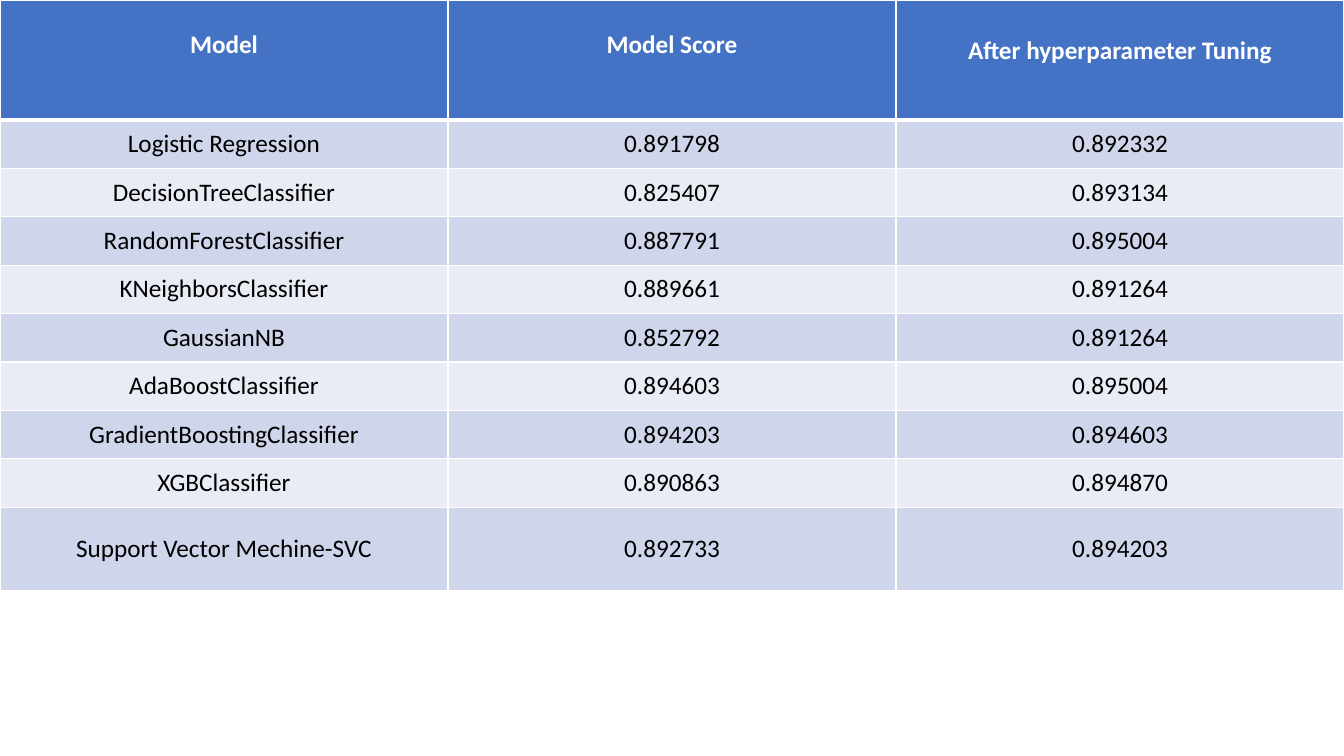
from lxml import etree
from pptx import Presentation
from pptx.dml.color import RGBColor
from pptx.enum.text import MSO_ANCHOR, PP_ALIGN
from pptx.oxml.ns import qn
from pptx.util import Cm, Pt

CENTER = PP_ALIGN.CENTER
TOP, MIDDLE = MSO_ANCHOR.TOP, MSO_ANCHOR.MIDDLE

COLORS = {
    "header": "4472C4",
    "odd": "CFD5EA",
    "even": "E9EBF5",
    "border": "FFFFFF",
    "header_text": "FFFFFF",
    "body_text": "000000",
}
FONT = "Calibri"
SLIDE_WIDTH, SLIDE_HEIGHT = Cm(33.87), Cm(19.05)
HEADER_HEIGHT, SCORE_HEIGHT, LAST_HEIGHT = Cm(3.02), Cm(1.22), Cm(2.11)
SMALL_MARGIN, LARGE_MARGIN = Cm(0.13), Cm(0.9)
THIN, THICK = Pt(1), Pt(3)

HEADINGS = ["Model", "Model Score", "After hyperparameter Tuning"]
SCORES = [
    ("Logistic Regression", "0.891798", "0.892332"),
    ("DecisionTreeClassifier", "0.825407", "0.893134"),
    ("RandomForestClassifier", "0.887791", "0.895004"),
    ("KNeighborsClassifier", "0.889661", "0.891264"),
    ("GaussianNB", "0.852792", "0.891264"),
    ("AdaBoostClassifier", "0.894603", "0.895004"),
    ("GradientBoostingClassifier", "0.894203", "0.894603"),
    ("XGBClassifier", "0.890863", "0.894870"),
    ("Support Vector Mechine-SVC", "0.892733", "0.894203"),
]


def set_borders(cell, top=THIN, bottom=THIN):
    properties = cell._tc.get_or_add_tcPr()
    sides = [("a:lnL", THIN), ("a:lnR", THIN), ("a:lnT", top), ("a:lnB", bottom)]
    for position, (side, width) in enumerate(sides):
        line = etree.Element(qn(side), w=str(width))
        fill = etree.SubElement(line, qn("a:solidFill"))
        etree.SubElement(fill, qn("a:srgbClr"), val=COLORS["border"])
        properties.insert(position, line)


def write_cell(cell, text, fill, color, bold=False):
    cell.fill.solid()
    cell.fill.fore_color.rgb = RGBColor.from_string(COLORS[fill])
    cell.vertical_anchor = MIDDLE
    cell.margin_top = cell.margin_bottom = SMALL_MARGIN
    paragraph = cell.text_frame.paragraphs[0]
    paragraph.alignment = CENTER
    run = paragraph.add_run()
    run.text = text
    run.font.name = FONT
    run.font.size = Pt(18)
    run.font.bold = bold
    run.font.color.rgb = RGBColor.from_string(COLORS[color])


def write_header(table):
    for column, heading in enumerate(HEADINGS):
        cell = table.cell(0, column)
        write_cell(cell, heading, "header", "header_text", bold=True)
        set_borders(cell, bottom=THICK)
        if column < 2:
            cell.margin_bottom = LARGE_MARGIN
        else:
            cell.vertical_anchor = TOP
            cell.margin_top = LARGE_MARGIN


def write_scores(table):
    for row, scores in enumerate(SCORES, start=1):
        band = "odd" if row % 2 else "even"
        for column, text in enumerate(scores):
            cell = table.cell(row, column)
            write_cell(cell, text, band, "body_text")
            set_borders(cell, top=THICK if row == 1 else THIN)


def add_score_table(slide):
    heights = [HEADER_HEIGHT] + [SCORE_HEIGHT] * (len(SCORES) - 1) + [LAST_HEIGHT]
    table = slide.shapes.add_table(
        len(heights), len(HEADINGS), Cm(0), Cm(0), SLIDE_WIDTH, sum(heights)
    ).table
    for row, height in zip(table.rows, heights):
        row.height = height
    write_header(table)
    write_scores(table)


def main():
    presentation = Presentation()
    presentation.slide_width = SLIDE_WIDTH
    presentation.slide_height = SLIDE_HEIGHT
    slide = presentation.slides.add_slide(presentation.slide_layouts[6])
    add_score_table(slide)
    presentation.save("out.pptx")


if __name__ == "__main__":
    main()
